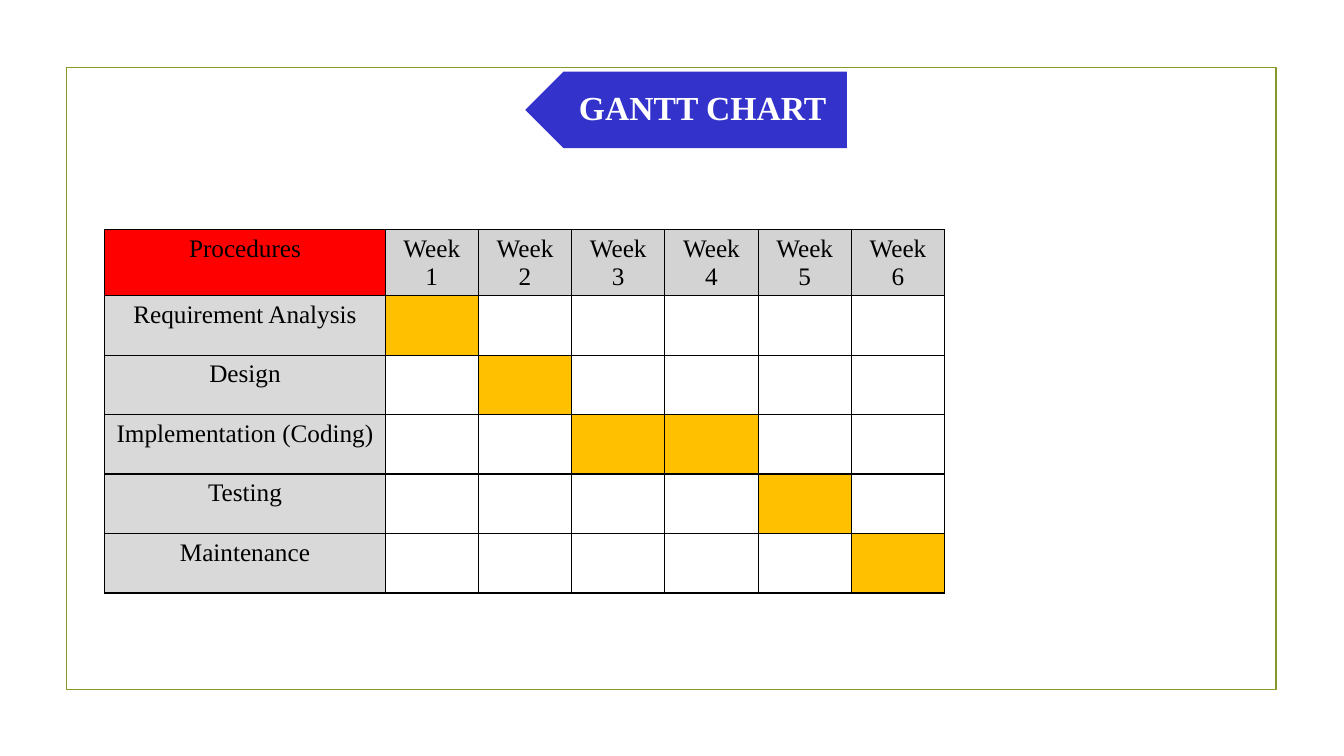
from dataclasses import dataclass

import pptx
import pptx.dml.color
import pptx.enum.shapes
import pptx.enum.text
import pptx.oxml
import pptx.oxml.ns
import pptx.util
from pptx.util import Inches


@dataclass(frozen=True)
class Theme:
    font: str = "Times New Roman"
    title_size: float = 24
    table_size: float = 18
    frame: str = "83992A"
    banner: str = "3333CC"
    title: str = "FFFFFF"
    ink: str = "000000"
    corner: str = "FF0000"
    week: str = "D3D3D3"
    procedure: str = "D9D9D9"
    active: str = "FFC000"


@dataclass(frozen=True)
class Procedure:
    label: str
    weeks: tuple[int, ...]


THEME = Theme()
WEEK_COUNT = 6
PROCEDURES = [
    Procedure("Requirement Analysis", (1,)),
    Procedure("Design", (2,)),
    Procedure("Implementation (Coding)", (3, 4)),
    Procedure("Testing", (5,)),
    Procedure("Maintenance", (6,)),
]


def rgb(value: str) -> pptx.dml.color.RGBColor:
    return pptx.dml.color.RGBColor.from_string(value)


def write(text_frame, text: str, *, size: float, color: str, bold: bool = False,
          line_spacing: float | None = None) -> None:
    paragraph = text_frame.paragraphs[0]
    paragraph.alignment = pptx.enum.text.PP_ALIGN.CENTER
    paragraph.line_spacing = line_spacing
    run = paragraph.add_run()
    run.text = text
    run.font.name = THEME.font
    run.font.size = pptx.util.Pt(size)
    run.font.bold = bold
    run.font.color.rgb = rgb(color)


def add_frame(slide) -> None:
    frame = slide.shapes.add_shape(
        pptx.enum.shapes.MSO_SHAPE.RECTANGLE,
        Inches(0.66), Inches(0.67), Inches(12), Inches(6.17))
    frame.shadow.inherit = False
    frame.fill.background()
    frame.line.color.rgb = rgb(THEME.frame)
    frame.line.width = pptx.util.Pt(1.25)


def add_banner(slide, text: str) -> None:
    top, height = Inches(0.71), Inches(0.76)
    banner = slide.shapes.add_shape(
        pptx.enum.shapes.MSO_SHAPE.PENTAGON, Inches(5.21), top, Inches(3.19), height)
    banner.rotation = 180
    banner.shadow.inherit = False
    banner.fill.solid()
    banner.fill.fore_color.rgb = rgb(THEME.banner)
    banner.line.fill.background()

    title = slide.shapes.add_textbox(Inches(5.4), top, Inches(3), height).text_frame
    title.word_wrap = True
    title.vertical_anchor = pptx.enum.text.MSO_ANCHOR.MIDDLE
    title.margin_left, title.margin_right = Inches(0.33), Inches(0.19)
    title.margin_top = title.margin_bottom = Inches(0.1)
    write(title, text, size=THEME.title_size, color=THEME.title, bold=True,
          line_spacing=0.9)


def format_cell(cell, text: str = "", fill: str | None = None) -> None:
    properties = cell._tc.get_or_add_tcPr()
    for side in ("lnL", "lnR", "lnT", "lnB"):
        properties.append(pptx.oxml.parse_xml(
            f'<a:{side} {pptx.oxml.ns.nsdecls("a")} w="12700">'
            f'<a:solidFill><a:srgbClr val="{THEME.ink}"/></a:solidFill></a:{side}>'))
    if fill:
        cell.fill.solid()
        cell.fill.fore_color.rgb = rgb(fill)
    else:
        cell.fill.background()
    if text:
        write(cell.text_frame, text, size=THEME.table_size, color=THEME.ink)


def add_schedule(slide, procedures: list[Procedure]) -> None:
    label_width, week_width, row_height = Inches(2.78), Inches(0.925), Inches(0.59)
    row_count = len(procedures) + 1
    schedule = slide.shapes.add_table(
        row_count, WEEK_COUNT + 1, Inches(1.04), Inches(2.28),
        label_width + WEEK_COUNT * week_width, row_count * row_height).table
    schedule.first_row = False
    schedule.horz_banding = False
    for column in schedule.columns:
        column.width = week_width
    schedule.columns[0].width = label_width
    for row in schedule.rows:
        row.height = row_height

    format_cell(schedule.cell(0, 0), "Procedures", THEME.corner)
    for week in range(1, WEEK_COUNT + 1):
        format_cell(schedule.cell(0, week), f"Week {week}", THEME.week)
    for index, procedure in enumerate(procedures, start=1):
        format_cell(schedule.cell(index, 0), procedure.label, THEME.procedure)
        for week in range(1, WEEK_COUNT + 1):
            fill = THEME.active if week in procedure.weeks else None
            format_cell(schedule.cell(index, week), fill=fill)


def main() -> None:
    deck = pptx.Presentation()
    deck.slide_width, deck.slide_height = Inches(13.33), Inches(7.5)
    slide = deck.slides.add_slide(deck.slide_layouts[6])
    add_frame(slide)
    add_schedule(slide, PROCEDURES)
    add_banner(slide, "GANTT CHART")
    deck.save("out.pptx")


if __name__ == "__main__":
    main()
